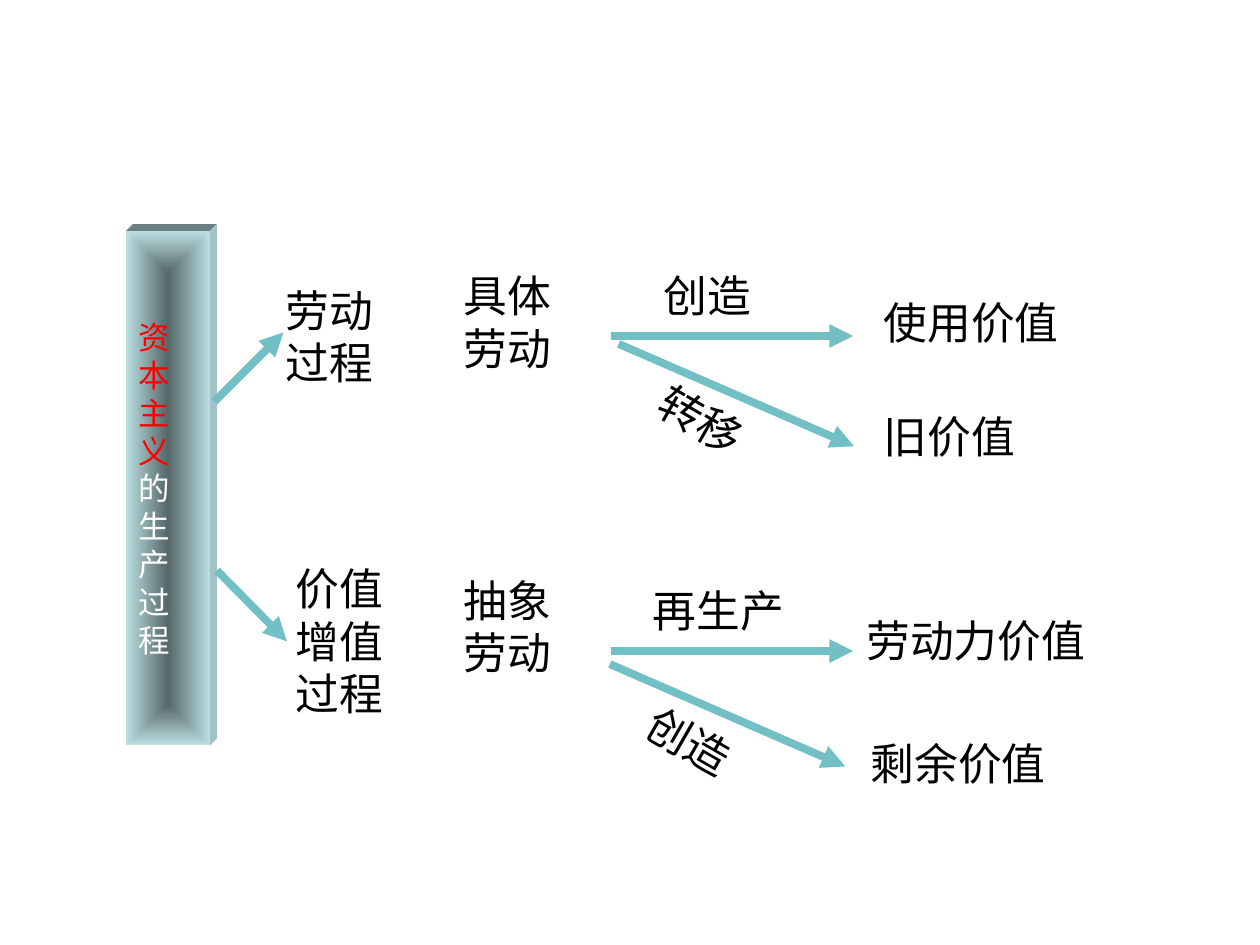
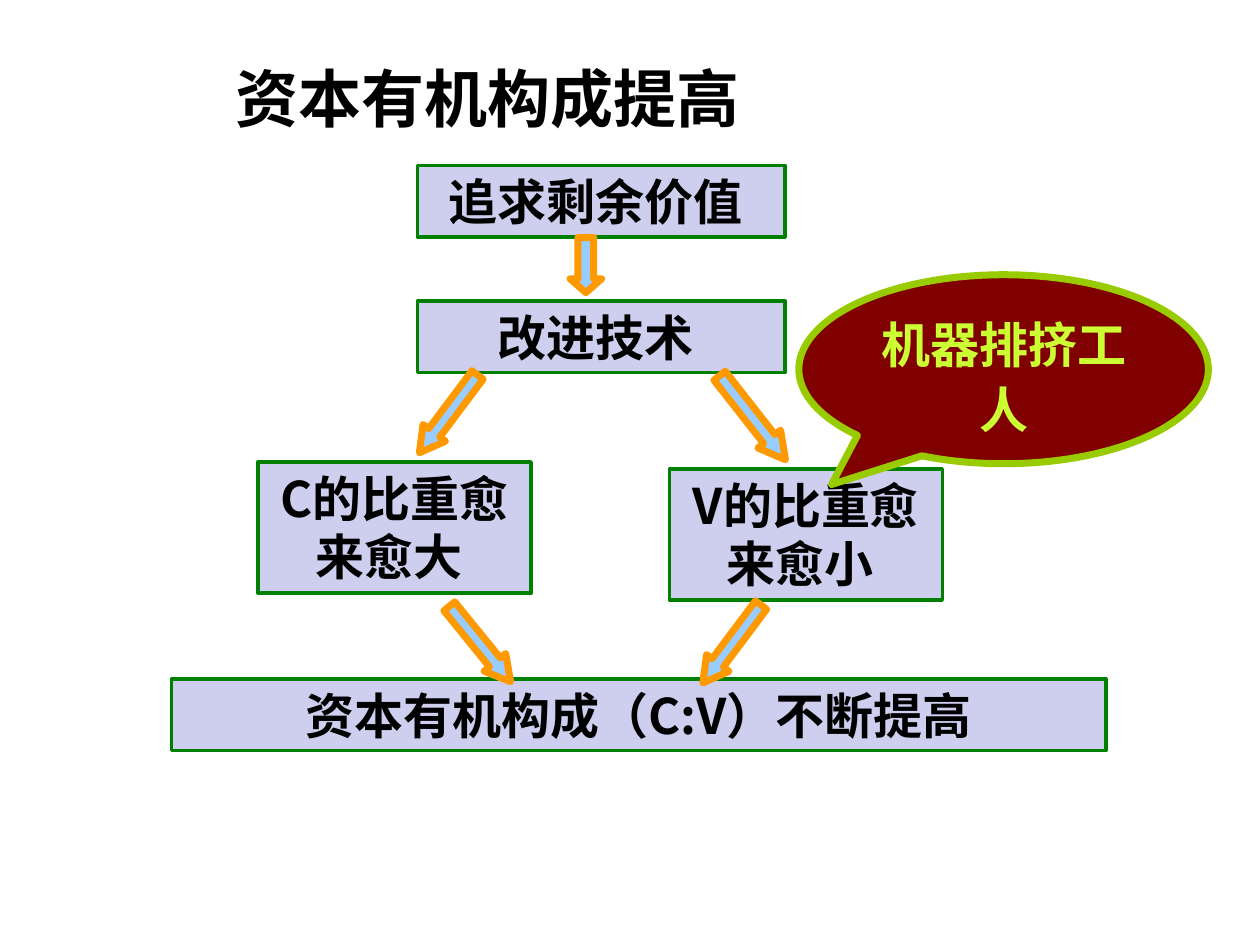
from typing import NamedTuple

from lxml import etree
from pptx import Presentation
from pptx.dml.color import RGBColor
from pptx.enum import shapes, text
from pptx.oxml import ns
from pptx.util import Pt

# Shared style
CJK, LATIN = "Noto Sans CJK SC", "Arial"
BLACK, TEAL = "000000", "72BFC5"
ANCHOR, ALIGN, KIND = text.MSO_ANCHOR, text.PP_ALIGN, shapes.MSO_SHAPE


class Label(NamedTuple):
    words: str
    left: float
    top: float
    width: float
    height: float = 37.5
    rotation: float = 0


class Link(NamedTuple):
    x1: float
    y1: float
    x2: float
    y2: float


class BlockArrow(NamedTuple):
    left: float
    top: float
    width: float
    height: float
    rotation: float
    head: float


# Slide 1: stages, results and the words above the arrows
LABELS = [
    Label("劳动过程", 156, 162, 84, 60),
    Label("价值增值过程", 162, 318, 74, 96),
    Label("具体劳动", 258, 150, 84, 67.5),
    Label("抽象劳动", 258, 324, 84, 67.5),
    Label("创造", 372, 150, 96.5),
    Label("转移", 367, 227.5, 90, rotation=30),
    Label("再生产", 366, 330, 117),
    Label("创造", 360, 411, 90, rotation=30),
    Label("使用价值", 498, 165, 174),
    Label("旧价值", 498, 230.5, 174),
    Label("劳动力价值", 488, 347, 210),
    Label("剩余价值", 490.5, 417.5, 210),
]
LINKS = [
    Link(122.5, 229.5, 162, 190),
    Link(124, 326, 164, 366.5),
    Link(349, 192, 487.5, 192),
    Link(353.5, 196.5, 488, 255),
    Link(349, 372, 487.5, 372),
    Link(348.5, 379.5, 483, 438),
]

# Slide 2: steps and the block arrows between them
STEPS = [
    Label("追求剩余价值 ", 238.5, 94.5, 210, 41),
    Label("改进技术 ", 238.5, 172, 210, 41),
    Label("C的比重愈来愈大 ", 147.5, 264, 156, 75),
    Label("V的比重愈来愈小 ", 382.5, 268, 156, 75),
    Label("资本有机构成（C:V）不断提高", 98, 388, 534, 41),
]
BLOCK_ARROWS = [
    BlockArrow(228.5, 228.5, 55.5, 16, 126.8, 0.89),
    BlockArrow(399.5, 230.5, 61, 16.5, 51.9, 0.91),
    BlockArrow(319, 142.5, 31.5, 18, 90, 0.44),
    BlockArrow(246.5, 360, 55.5, 16, 50.9, 0.89),
    BlockArrow(390.5, 360, 55.5, 16, 126.8, 0.89),
]


def colour(code: str) -> RGBColor:
    return RGBColor.from_string(code)


def add_span(para, words: str, size: float, code: str = BLACK,
             font: str = CJK, bold: bool = False) -> None:
    span = para.add_run()
    span.text = words
    span.font.size, span.font.bold = Pt(size), bold
    span.font.color.rgb = colour(code)
    span.font.name = font
    etree.SubElement(span.font._element, ns.qn("a:ea"), typeface=CJK)


def paint(shape, fill: str, line: str = "", width: float = 0) -> None:
    shape.shadow.inherit = False
    shape.fill.solid()
    shape.fill.fore_color.rgb = colour(fill)
    if line:
        shape.line.color.rgb = colour(line)
        shape.line.width = Pt(width)
    else:
        shape.line.fill.background()


def add_block(page, kind, left: float, top: float, width: float, height: float):
    return page.shapes.add_shape(kind, Pt(left), Pt(top), Pt(width), Pt(height))


def first_para(shape, anchor, align):
    frame = shape.text_frame
    frame.word_wrap, frame.vertical_anchor = True, anchor
    para = frame.paragraphs[0]
    para.alignment = align
    return para


def add_label(page, label: Label) -> None:
    box = page.shapes.add_textbox(*map(Pt, label[1:5]))
    box.rotation = label.rotation
    add_span(first_para(box, ANCHOR.MIDDLE, ALIGN.LEFT), label.words, 25)


def add_link(page, link: Link) -> None:
    line = page.shapes.add_connector(shapes.MSO_CONNECTOR.STRAIGHT, *map(Pt, link))
    line.line.color.rgb = colour(TEAL)
    line.line.width = Pt(4.5)
    etree.SubElement(line.line._get_or_add_ln(), ns.qn("a:tailEnd"), type="triangle")
    etree.SubElement(line._element.spPr, ns.qn("a:effectLst"))


def add_face(page, points: list[tuple[float, float]], fill: str) -> None:
    outline = page.shapes.build_freeform(*points[0], scale=Pt(1))
    outline.add_line_segments(points[1:])
    paint(outline.convert_to_shape(), fill)


def add_bar(page) -> None:
    left, top, width, height, depth = 72, 132, 48, 294, 4.5
    right, bottom = left + width, top + height
    back_corner = (right + depth, top - depth)
    # Top and side faces give the bar its depth
    add_face(page, [(left, top), (left + depth, top - depth), back_corner,
                    (right, top)], "6A8083")
    add_face(page, [(right, top), back_corner, (right + depth, bottom - depth),
                    (right, bottom)], "A2C2C5")
    bar = add_block(page, KIND.RECTANGLE, left, top, width, height)
    paint(bar, "BBE0E3")
    bar.fill.gradient()
    for stop, code in zip(bar.fill.gradient_stops, ("566768", "BBE0E3")):
        stop.color.rgb = colour(code)
    linear = bar._element.spPr.find(".//" + ns.qn("a:lin"))
    shade = etree.Element(ns.qn("a:path"), path="rect")
    etree.SubElement(shade, ns.qn("a:fillToRect"), dict.fromkeys("ltrb", "50000"))
    linear.getparent().replace(linear, shade)
    para = first_para(bar, ANCHOR.MIDDLE, ALIGN.LEFT)
    add_span(para, "资本主义", 18, "FF0000", LATIN)
    add_span(para, "的生产过程", 18, "FFFFFF", LATIN)


def add_step(page, step: Label) -> None:
    box = add_block(page, KIND.RECTANGLE, *step[1:5])
    paint(box, "CECEEF", "008000", 2)
    add_span(first_para(box, ANCHOR.TOP, ALIGN.CENTER), step.words, 28, bold=True)


def add_block_arrow(page, arrow: BlockArrow) -> None:
    shape = add_block(page, KIND.RIGHT_ARROW, *arrow[:4])
    shape.rotation = arrow.rotation
    shape.adjustments[0], shape.adjustments[1] = 0.5, arrow.head
    paint(shape, "99CCFF", "FF9900", 4)


def add_callout(page) -> None:
    callout = add_block(page, KIND.OVAL_CALLOUT, 456.5, 157, 234, 108)
    callout.adjustments[0], callout.adjustments[1] = -0.42, 0.61
    paint(callout, "800000", "99CC00", 4)
    para = first_para(callout, ANCHOR.TOP, ALIGN.CENTER)
    para.line_spacing = 1.1
    add_span(para, "机器排挤工人", 28, "CCFF33", LATIN, True)


def set_title(page, words: str) -> None:
    title = page.shapes.title
    title.left, title.top, title.width, title.height = map(Pt, (127.5, 26, 389.5, 54.5))
    para = first_para(title, ANCHOR.TOP, ALIGN.JUSTIFY)
    para.line_spacing = 1.1
    add_span(para, words, 36, bold=True)


def build_production(deck) -> None:
    page = deck.slides.add_slide(deck.slide_layouts[6])
    add_bar(page)
    for label in LABELS:
        add_label(page, label)
    for link in LINKS:
        add_link(page, link)


def build_composition(deck) -> None:
    page = deck.slides.add_slide(deck.slide_layouts[5])
    set_title(page, "资本有机构成提高")
    for step in STEPS:
        add_step(page, step)
    for arrow in BLOCK_ARROWS:
        add_block_arrow(page, arrow)
    add_callout(page)


def main() -> None:
    deck = Presentation()
    deck.slide_width, deck.slide_height = Pt(720), Pt(540)
    build_production(deck)
    build_composition(deck)
    deck.save("out.pptx")


if __name__ == "__main__":
    main()
